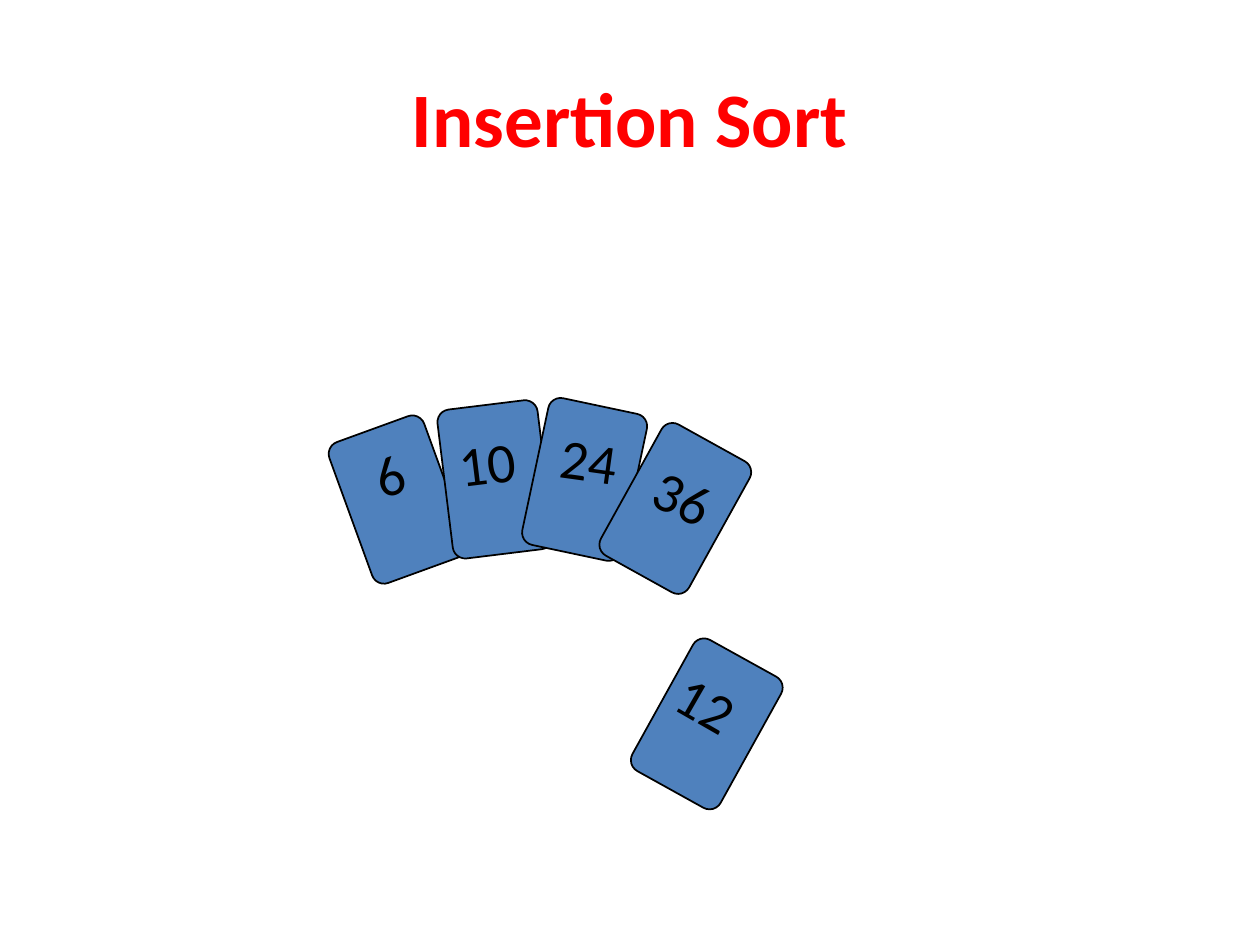
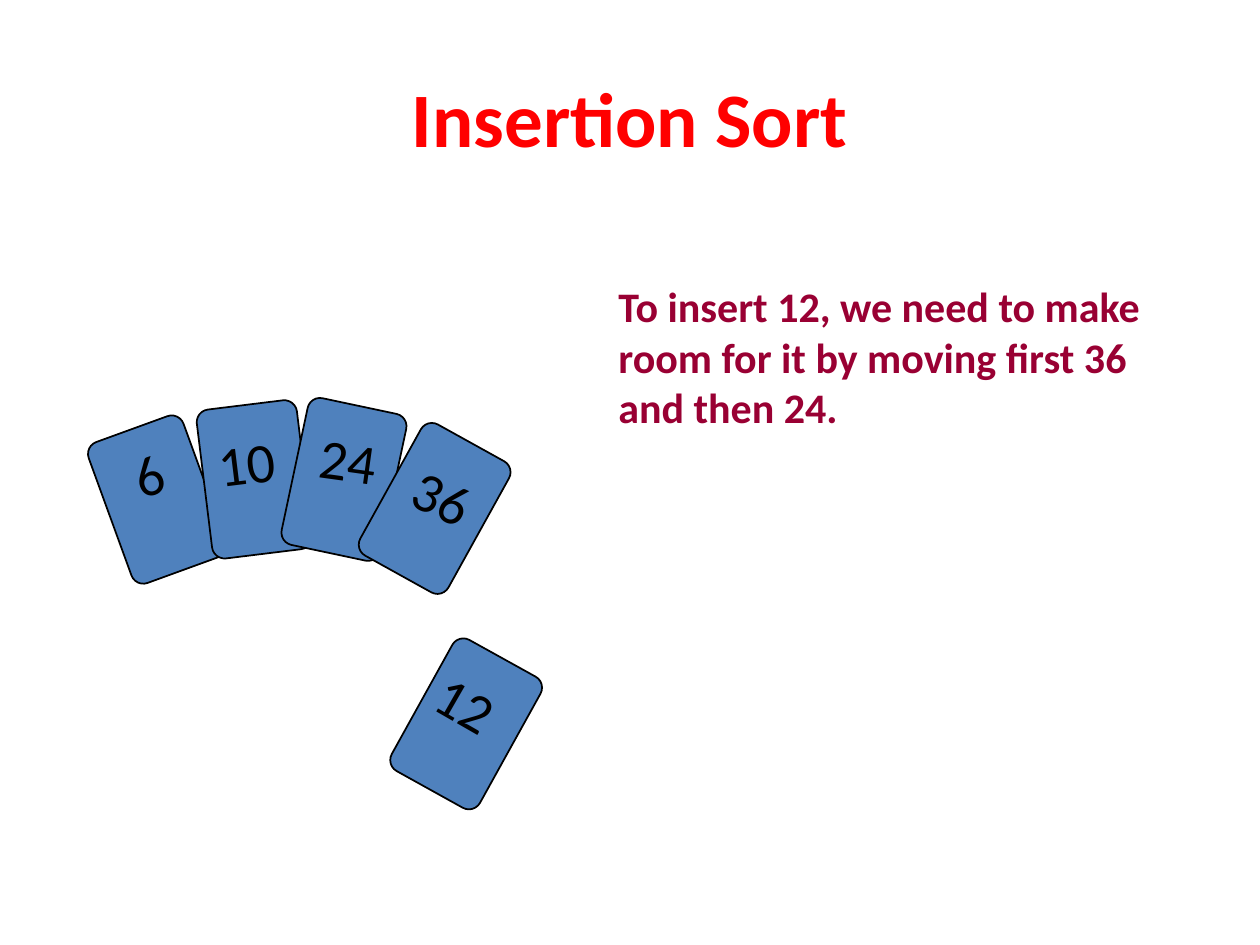
"""Two slides on insertion sort: a fanned hand of cards and one card to insert."""
from dataclasses import dataclass
from typing import Any

from pptx import Presentation
from pptx import util as u
from pptx.dml.color import RGBColor
from pptx.enum import shapes, text

RED = RGBColor(0xFF, 0x00, 0x00)
MAROON = RGBColor(0x99, 0x00, 0x33)
BLUE = RGBColor(0x4F, 0x81, 0xBD)
BLACK = RGBColor(0x00, 0x00, 0x00)

FONT = "Calibri"
WIDTH, HEIGHT = u.Inches(10), u.Inches(7.5)
COLUMNS, ROWS = 100, 75
TITLE_ONLY = 5

TITLE_FONT = {"name": FONT, "size": u.Pt(44), "bold": True}
NOTE_FONT = {"name": FONT, "size": u.Pt(24), "bold": True}
LABEL_FONT = {"name": FONT, "size": u.Pt(32), "bold": False}

CARD_WIDTH, CARD_HEIGHT = 8, 11.9
LABEL_HEIGHT = 6.4
LABEL_WIDTHS = {1: 4.5, 2: 7}  # by number of digits


@dataclass(frozen=True)
class Card:
    """A playing card: grid position and tilt of the card and of its number."""
    number: str
    column: float
    row: float
    tilt: float
    label_column: float
    label_row: float
    label_tilt: float


# Columns count from the left edge of the hand.
FAN = (
    Card("6", 0, 33.7, 340, 1.15, 34.4, 341),
    Card("10", 7.7, 32.1, 353, 7.8, 33.5, 353),
    Card("24", 14.8, 32.1, 12, 15.9, 33.3, 8),
)
NEW_CARD = Card("12", 24.5, 51.5, 29, 25.2, 52.8, 30)
LAST_CARD = Card("36", 22, 34.4, 29, 23.35, 36.3, 25)


def grid_box(column: float, row: float, columns: float, rows: float) -> tuple:
    """Turn grid columns and rows into left, top, width and height."""
    return (int(WIDTH * column / COLUMNS), int(HEIGHT * row / ROWS),
            int(WIDTH * columns / COLUMNS), int(HEIGHT * rows / ROWS))


def set_attributes(target: Any, values: dict) -> None:
    """Set each named attribute of the target."""
    for name, value in values.items():
        setattr(target, name, value)


def write(shape: Any, words: str, font: dict, color: RGBColor) -> None:
    """Put one formatted paragraph into a shape."""
    paragraph = shape.text_frame.paragraphs[0]
    run = paragraph.add_run()
    run.text = words
    set_attributes(run.font, font)
    run.font.color.rgb = color


def add_text(parent: Any, box: tuple, words: str, font: dict,
             color: RGBColor, wrap: bool) -> Any:
    """Add a text box that grows with its text."""
    shape = parent.add_textbox(*box)
    set_attributes(shape.text_frame, {
        "word_wrap": wrap, "auto_size": text.MSO_AUTO_SIZE.SHAPE_TO_FIT_TEXT})
    write(shape, words, font, color)
    return shape


def add_face(parent: Any, card: Card, left: float) -> None:
    """Draw the tilted rounded rectangle of a card."""
    box = grid_box(left + card.column, card.row, CARD_WIDTH, CARD_HEIGHT)
    shape = parent.add_shape(shapes.MSO_SHAPE.ROUNDED_RECTANGLE, *box)
    shape.adjustments[0] = 0.125
    shape.rotation = card.tilt
    shape.shadow.inherit = False
    shape.fill.solid()
    shape.fill.fore_color.rgb = BLUE
    shape.line.color.rgb = BLACK
    shape.line.width = u.Pt(1)


def add_number(parent: Any, card: Card, left: float) -> None:
    """Write the tilted number of a card."""
    box = grid_box(left + card.label_column, card.label_row,
                   LABEL_WIDTHS[len(card.number)], LABEL_HEIGHT)
    label = add_text(parent, box, card.number, LABEL_FONT, BLACK, wrap=False)
    label.rotation = card.label_tilt


def add_hand(slide: Any, left: float) -> None:
    """Draw the grouped fan, then the new card and the last card of the hand."""
    fan = slide.shapes.add_group_shape().shapes
    for draw in (add_face, add_number):
        for card in FAN:
            draw(fan, card, left)
    for card in (NEW_CARD, LAST_CARD):
        add_face(slide.shapes, card, left)
        add_number(slide.shapes, card, left)


def add_slide(presentation: Any) -> Any:
    """Add a slide with the shared title."""
    slide = presentation.slides.add_slide(
        presentation.slide_layouts[TITLE_ONLY])
    title = slide.shapes.title
    set_attributes(title, dict(zip(("left", "top", "width", "height"),
                                   grid_box(5, 3, 90, 12.5))))
    title.text_frame.vertical_anchor = text.MSO_ANCHOR.MIDDLE
    title.text_frame.paragraphs[0].alignment = text.PP_ALIGN.CENTER
    write(title, "Insertion Sort", TITLE_FONT, RED)
    return slide


def main() -> None:
    """Build and save both slides."""
    presentation = Presentation()
    set_attributes(presentation, {"slide_width": WIDTH,
                                  "slide_height": HEIGHT})

    add_hand(add_slide(presentation), left=27.6)

    explained = add_slide(presentation)
    add_text(explained.shapes, grid_box(48.1, 21.8, 46.6, 13.1),
             "To insert 12, we need to make room for it by moving "
             "first 36 and then 24.", NOTE_FONT, MAROON, wrap=True)
    add_hand(explained, left=8.5)

    presentation.save("out.pptx")


main()
